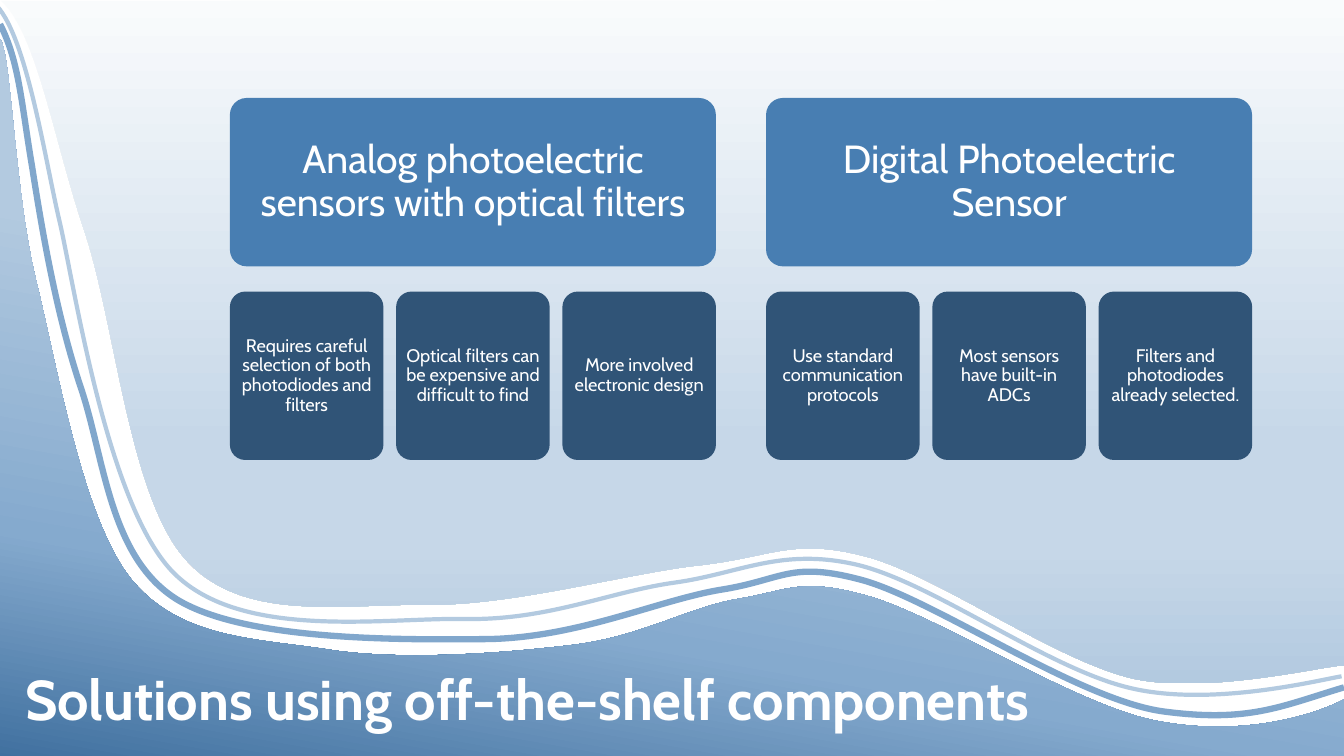
from lxml.etree import SubElement
from pptx import Presentation
from pptx.dml.color import RGBColor
from pptx.enum.shapes import MSO_SHAPE as Preset
from pptx.enum.text import MSO_ANCHOR as Anchor, PP_ALIGN as Align
from pptx.oxml.ns import qn
from pptx.util import Pt

COLORS = {
    "white": "FFFFFF", "heading": "487EB2", "detail": "305477",
    "mist": "F9FBFC", "haze": "C6D7E8", "pale": "B3CAE0",
    "ribbon": "81A7CC", "mid": "85AACE", "deep": "40709F",
}
FONT = "Cabin"
BOUND_STEPS = 24

SKY = ((0.7, 0.7), [
    (26.6, 23.8, 38.2, 99.4, 60.5, 165.6),
    (82.8, 232.6, 92.2, 355.7, 133.2, 400.3),
    (173.5, 445, 244.8, 431.3, 305.3, 432),
    (366.5, 432.7, 447.1, 409.7, 499, 403.9),
    (550.8, 398.2, 565.9, 383.8, 617.8, 397.4),
    (668.9, 410.4, 751.7, 470.9, 808.6, 484.6),
    (866.2, 497.5, 961.2, 471.6, 960.5, 475.9),
    (960.5, 473, 959.8, -1.4, 959.8, 0),
])
BLUE_RIBBON = ((0, 17.3), [
    (13.7, 43.9, 15.1, 72.7, 23, 119.5),
    (30.2, 165.6, 40.3, 224.6, 57.6, 276.5),
    (74.9, 327.6, 77.8, 398.2, 126.7, 428.4),
    (175.7, 457.9, 285.1, 457.2, 349.9, 456.5),
    (414.7, 455, 470.9, 428.4, 515.5, 421.2),
    (560.2, 414, 564.5, 400.3, 617, 414.7),
    (669.6, 429.8, 771.1, 500.4, 831.6, 508.3),
    (892.1, 516.2, 914.4, 504.7, 960, 491),
])
PALE_RIBBON = ((-4.3, 2.2), [
    (18.7, 22.3, 32.4, 115.2, 42.5, 157.7),
    (52.6, 200.2, 76.3, 362.2, 124.6, 409.7),
    (172.8, 457.2, 272.2, 441.4, 331.2, 442.1),
    (391, 443.5, 435.6, 422.6, 481.7, 416.2),
    (528.5, 409.7, 557.3, 391, 611.3, 403.2),
    (664.6, 415.4, 743.8, 474.5, 802.8, 490.3),
    (861.1, 506.2, 941, 486, 958.3, 483.1),
])
WAVE = ((0, 28.1), [
    (7.9, 36.7, 10.1, 133.9, 25.2, 198),
    (41, 262.1, 58.3, 367.2, 92.2, 411.8),
    (126.7, 455.8, 180, 455.8, 232.6, 463.7),
    (285.1, 472.3, 359.3, 466.6, 408.2, 460.8),
    (457.9, 455, 492.5, 433.4, 527.8, 427.7),
    (563, 421.9, 572.4, 411.8, 621.4, 426.2),
    (670.3, 440.6, 766.1, 501.8, 822.2, 514.1),
    (879.1, 526.3, 931.7, 514.1, 960, 499.7),
    (962.6, 501.1, 961.9, 539.3, 964.1, 542.2),
    (963.4, 540, -0.7, 540, -1.4, 540),
    (-0.7, 369.4, -0.7, 198.7, 0, 28.1),
])
SOLUTIONS = [
    ("Analog photoelectric sensors with optical filters", [
        "Requires careful selection of both photodiodes and filters",
        "Optical filters can be expensive and difficult to find",
        "More involved electronic design",
    ]),
    ("Digital Photoelectric Sensor", [
        "Use standard communication protocols",
        "Most sensors have built-in ADCs",
        "Filters and photodiodes already selected.",
    ]),
]


def rgb(name):
    return RGBColor.from_string(COLORS[name])


def sample_curve(curve):
    start, segments = curve
    points = [start]
    for x1, y1, x2, y2, x3, y3 in segments:
        x0, y0 = points[-1]
        for step in range(1, BOUND_STEPS + 1):
            t = step / BOUND_STEPS
            u = 1 - t
            a, b, c, d = u ** 3, 3 * u * u * t, 3 * u * t * t, t ** 3
            points.append((a * x0 + b * x1 + c * x2 + d * x3,
                           a * y0 + b * y1 + c * y2 + d * y3))
    return points


def add_outline(slide, box, curve, close):
    left, top = box[:2]
    bounds = [(Pt(left + x), Pt(top + y)) for x, y in sample_curve(curve)]
    builder = slide.shapes.build_freeform(*bounds[0])
    builder.add_line_segments(bounds[1:], close=False)
    shape = builder.convert_to_shape()
    shape.shadow.inherit = False
    outline = next(shape._element.iter(qn("a:path")))
    for command in list(outline):
        outline.remove(command)
    start, segments = curve
    for name, values in [("a:moveTo", start),
                         *(("a:cubicBezTo", segment) for segment in segments)]:
        command = SubElement(outline, qn(name))
        for x, y in zip(values[::2], values[1::2]):
            SubElement(command, qn("a:pt"),
                       x=str(Pt(left + x) - shape.left),
                       y=str(Pt(top + y) - shape.top))
    if close:
        SubElement(outline, qn("a:close"))
    return shape


def add_area(slide, box, curve, stops, angle):
    shape = add_outline(slide, box, curve, True)
    shape.line.fill.background()
    shape.fill.gradient()
    shape.fill.gradient_angle = angle
    stop_list = next(shape._element.iter(qn("a:gsLst")))
    for stop in list(stop_list):
        stop_list.remove(stop)
    for percent, color in stops:
        stop = SubElement(stop_list, qn("a:gs"), pos=str(percent * 1000))
        SubElement(stop, qn("a:srgbClr"), val=COLORS[color])


def add_ribbon(slide, box, curve, color, width):
    shape = add_outline(slide, box, curve, False)
    shape.fill.background()
    shape.line.color.rgb = rgb(color)
    shape.line.width = Pt(width)


def add_backdrop(slide, box):
    add_area(slide, box, SKY,
             [(0, "mist"), (65, "haze"), (80, "haze"), (100, "pale")], 270)
    add_ribbon(slide, box, BLUE_RIBBON, "ribbon", 4.5)
    add_ribbon(slide, box, PALE_RIBBON, "pale", 3)
    add_area(slide, box, WAVE, [(0, "deep"), (24, "mid"), (58, "pale")], 80)


def write_text(shape, text, frame_format, align, font_format):
    frame = shape.text_frame
    for name, value in {"word_wrap": True, **frame_format}.items():
        setattr(frame, name, value)
    paragraph = frame.paragraphs[0]
    paragraph.alignment = align
    paragraph.line_spacing = 0.9
    run = paragraph.add_run()
    run.text = text
    run.font.color.rgb = rgb("white")
    for name, value in {"name": FONT, **font_format}.items():
        setattr(run.font, name, value)


def add_title(slide, box, text):
    shape = slide.shapes.add_textbox(*map(Pt, box))
    write_text(shape, text, {"vertical_anchor": Anchor.BOTTOM}, Align.LEFT,
               {"size": Pt(40), "bold": True})


def add_card(slide, box, text, color, size, margin):
    shape = slide.shapes.add_shape(Preset.ROUNDED_RECTANGLE, *map(Pt, box))
    shape.adjustments[0] = 0.1
    shape.shadow.inherit = False
    shape.fill.solid()
    shape.fill.fore_color.rgb = rgb(color)
    shape.line.fill.background()
    margins = {f"margin_{side}": Pt(margin)
               for side in ("left", "top", "right", "bottom")}
    write_text(shape, text, {"vertical_anchor": Anchor.MIDDLE, **margins},
               Align.CENTER, {"size": Pt(size)})


def add_solution(slide, box, heading, details):
    left, top, width, height = box
    row_gap, detail_gap = 18, 9.1
    row_height = (height - row_gap) / 2
    count = len(details)
    detail_width = (width - detail_gap * (count - 1)) / count
    detail_top = top + row_height + row_gap
    add_card(slide, (left, top, width, row_height), heading, "heading", 28, 10)
    for index, detail in enumerate(details):
        detail_left = left + index * (detail_width + detail_gap)
        add_card(slide, (detail_left, detail_top, detail_width, row_height),
                 detail, "detail", 13, 4)


def add_solutions(slide, box):
    left, top, width, height = box
    gap = 35.8
    column_width = (width - gap * (len(SOLUTIONS) - 1)) / len(SOLUTIONS)
    for index, (heading, details) in enumerate(SOLUTIONS):
        column_left = left + index * (column_width + gap)
        add_solution(slide, (column_left, top, column_width, height),
                     heading, details)


def main():
    presentation = Presentation()
    presentation.slide_width = Pt(960)
    presentation.slide_height = Pt(540)
    slide = presentation.slides.add_slide(presentation.slide_layouts[6])
    add_backdrop(slide, (0, 0, 960, 540))
    add_title(slide, (10.8, 422.6, 828, 104.4),
              "Solutions using off-the-shelf components")
    add_solutions(slide, (164.2, 70, 730.2, 258.6))
    presentation.save("out.pptx")


if __name__ == "__main__":
    main()
